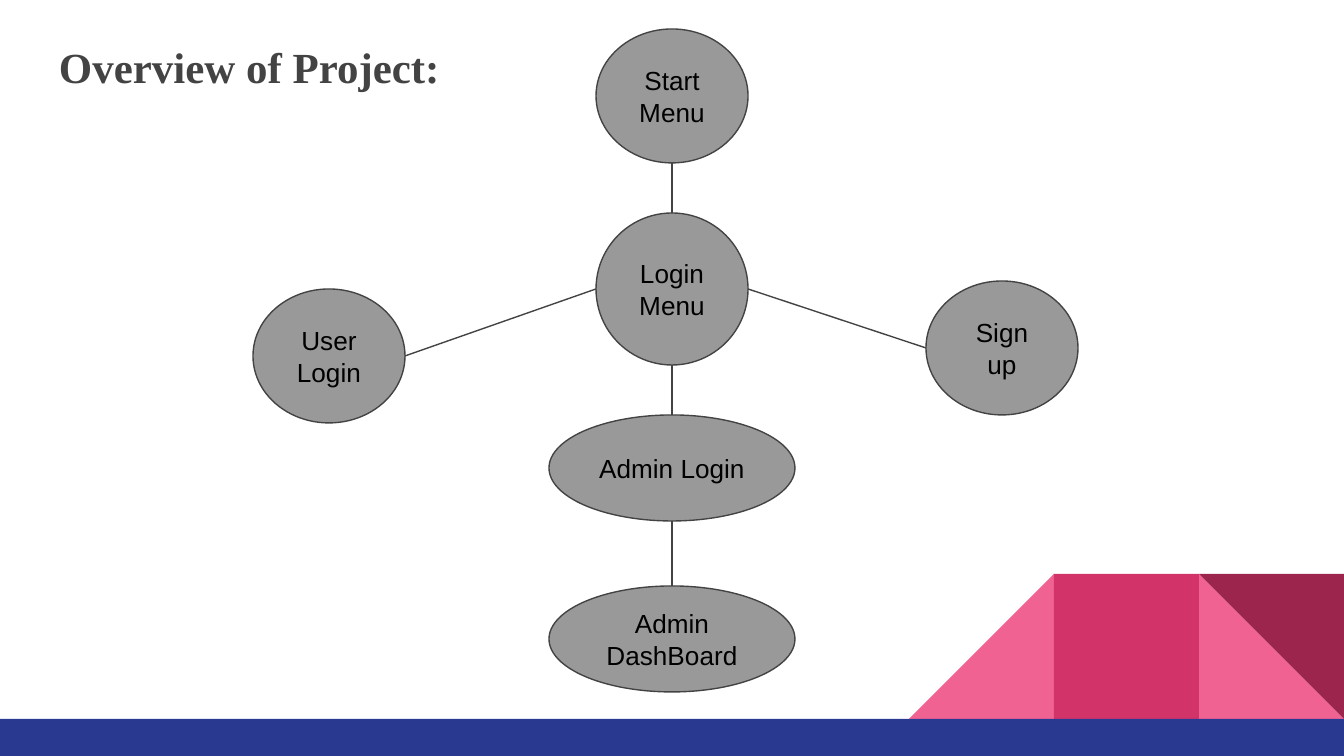
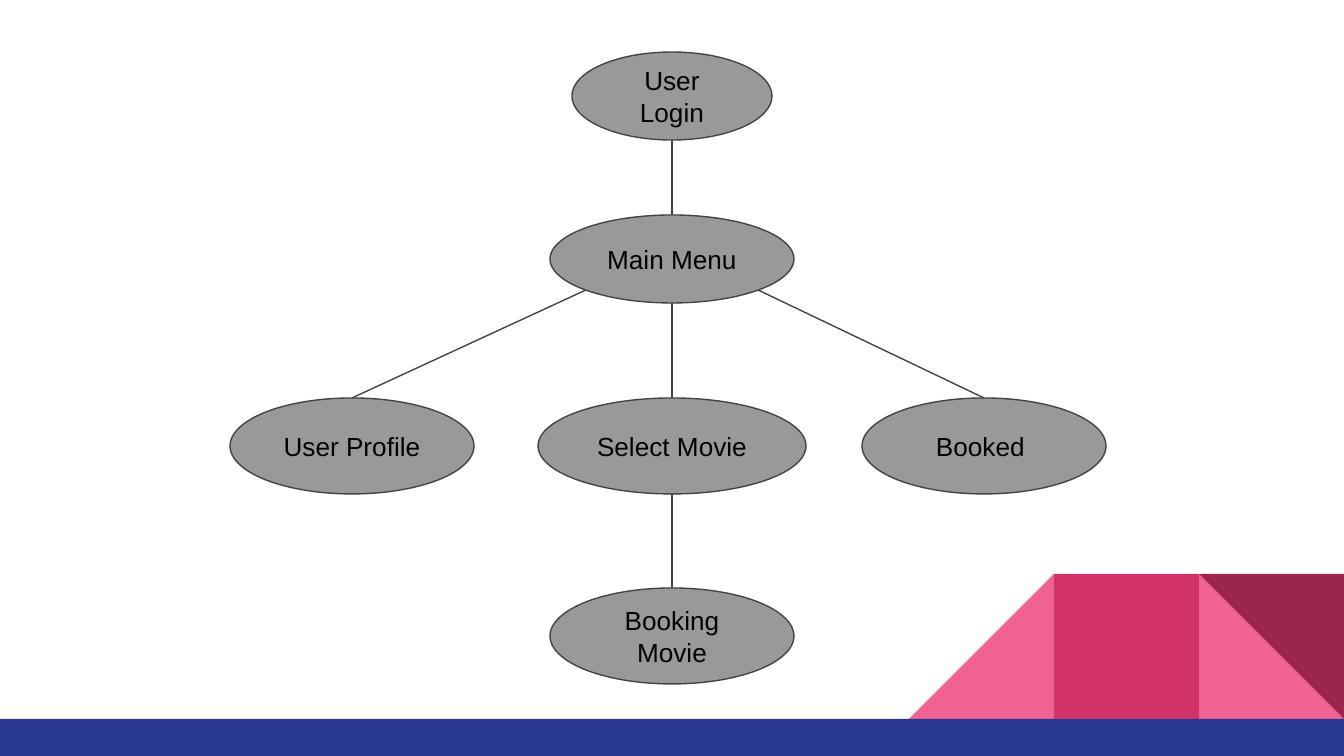
import math

from pptx import Presentation
from pptx import util as u
from pptx.dml.color import RGBColor
from pptx.enum import shapes, text
from pptx.oxml import ns
from lxml import etree

WIDTH, HEIGHT = 1344, 756
PX = u.Inches(10) / WIDTH
CENTRE = WIDTH // 2

# Angles on an ellipse, clockwise from the right
RIGHT, LOWER_RIGHT, BOTTOM, LOWER_LEFT, LEFT, TOP = 0, 45, 90, 135, 180, 270


def px(length):
    return u.Emu(round(length * PX))


def colour(value):
    return RGBColor.from_string(value)


class Deck:
    INK = "434343"
    NODE = "999999"
    NODE_TEXT = "000000"
    PINK, ROSE, WINE, BLUE = "F06292", "D23369", "9C254D", "2A3990"
    TILE, BAND_TOP, INSET = 145, 719, 13
    TITLE_LAYOUT, BLANK_LAYOUT = 5, 6

    def __init__(self):
        self.prs = Presentation()
        self.prs.slide_width, self.prs.slide_height = px(WIDTH), px(HEIGHT)
        self.slide = None

    def new_slide(self, title=None):
        layout = self.TITLE_LAYOUT if title else self.BLANK_LAYOUT
        self.slide = self.prs.slides.add_slide(self.prs.slide_layouts[layout])
        self.decoration()
        if title:
            self.title(title)

    def shape(self, kind, left, top, width, height, fill, rotation=0):
        item = self.slide.shapes.add_shape(
            kind, px(left), px(top), px(width), px(height))
        item.shadow.inherit = False
        item.fill.solid()
        item.fill.fore_color.rgb = colour(fill)
        item.line.fill.background()
        item.rotation = rotation
        return item

    def decoration(self):
        # Folded ribbon in the corner: column of tiles, preset, colour, turn
        triangle = shapes.MSO_SHAPE.RIGHT_TRIANGLE
        square = shapes.MSO_SHAPE.RECTANGLE
        for column, kind, fill, turn in ((1, triangle, self.PINK, 0),
                                         (3, triangle, self.PINK, 270),
                                         (2, square, self.ROSE, 0),
                                         (1, triangle, self.WINE, 180)):
            self.shape(kind, WIDTH - column * self.TILE, self.BAND_TOP - self.TILE,
                       self.TILE, self.TILE, fill, turn)
        # Footer band
        self.shape(square, 0, self.BAND_TOP, WIDTH, HEIGHT - self.BAND_TOP, self.BLUE)

    def set_frame(self, frame, words, anchor, align):
        frame.word_wrap = True
        frame.auto_size = text.MSO_AUTO_SIZE.NONE
        frame.vertical_anchor = anchor
        frame.margin_left = frame.margin_right = px(self.INSET)
        frame.margin_top = frame.margin_bottom = px(self.INSET)
        frame.text = words
        paragraph = frame.paragraphs[0]
        paragraph.alignment = align
        return paragraph

    def set_font(self, font, name, size, ink, bold=False):
        font.name, font.size, font.bold = name, u.Pt(size), bold
        font.color.rgb = colour(ink)

    def title(self, words):
        heading = self.slide.shapes.title
        heading.left, heading.top = px(46), px(20)
        heading.width, heading.height = px(1252), px(715)
        paragraph = self.set_frame(heading.text_frame, words,
                                   text.MSO_ANCHOR.TOP, text.PP_ALIGN.LEFT)
        paragraph.line_spacing = 1.15
        self.set_font(paragraph.font, "Times New Roman", 23, self.INK, bold=True)

    def node(self, words, x, y, width, height):
        """Add an ellipse centred on x, y."""
        bubble = self.shape(shapes.MSO_SHAPE.OVAL, x - width / 2, y - height / 2,
                            width, height, self.NODE)
        bubble.line.color.rgb = colour(self.INK)
        bubble.line.width = u.Pt(0.75)
        paragraph = self.set_frame(bubble.text_frame, words,
                                   text.MSO_ANCHOR.MIDDLE, text.PP_ALIGN.CENTER)
        self.set_font(paragraph.font, "Arial", 14, self.NODE_TEXT)
        return bubble

    def rim(self, bubble, degrees):
        angle = math.radians(degrees)
        return (round(bubble.left + bubble.width / 2 * (1 + math.cos(angle))),
                round(bubble.top + bubble.height / 2 * (1 + math.sin(angle))))

    def link(self, parent, child, leave=BOTTOM, arrive=TOP):
        branch = self.slide.shapes.add_connector(
            shapes.MSO_CONNECTOR.STRAIGHT,
            *self.rim(parent, leave), *self.rim(child, arrive))
        branch.line.color.rgb = colour(self.INK)
        branch.line.width = u.Pt(0.75)
        etree.SubElement(branch._element.spPr, ns.qn("a:effectLst"))


def overview(deck):
    deck.new_slide("Overview of Project:")
    start = deck.node("Start Menu", CENTRE, 96, 152, 134)
    sign_up = deck.node("Sign up", 1002, 348, 152, 134)
    login = deck.node("Login Menu", CENTRE, 289, 152, 152)
    admin_login = deck.node("Admin Login", CENTRE, 468, 246, 106)
    user_login = deck.node("User Login", 329, 356, 152, 134)
    dashboard = deck.node("Admin DashBoard", CENTRE, 639, 246, 106)
    deck.link(start, login)
    deck.link(login, user_login, LEFT, RIGHT)
    deck.link(login, admin_login)
    deck.link(login, sign_up, RIGHT, LEFT)
    deck.link(admin_login, dashboard)


def user_flow(deck):
    deck.new_slide()
    user_login = deck.node("User Login", CENTRE, 96, 200, 88)
    main_menu = deck.node("Main Menu", CENTRE, 259, 244, 88)
    profile = deck.node("User Profile", 352, 446, 244, 96)
    select_movie = deck.node("Select Movie", CENTRE, 446, 268, 96)
    booked = deck.node("Booked ", 984, 446, 244, 96)
    booking = deck.node("Booking Movie", CENTRE, 636, 244, 96)
    deck.link(user_login, main_menu)
    deck.link(main_menu, profile, LOWER_LEFT)
    deck.link(main_menu, select_movie)
    deck.link(main_menu, booked, LOWER_RIGHT)
    deck.link(select_movie, booking)


def main():
    deck = Deck()
    overview(deck)
    user_flow(deck)
    deck.prs.save("out.pptx")


if __name__ == "__main__":
    main()
